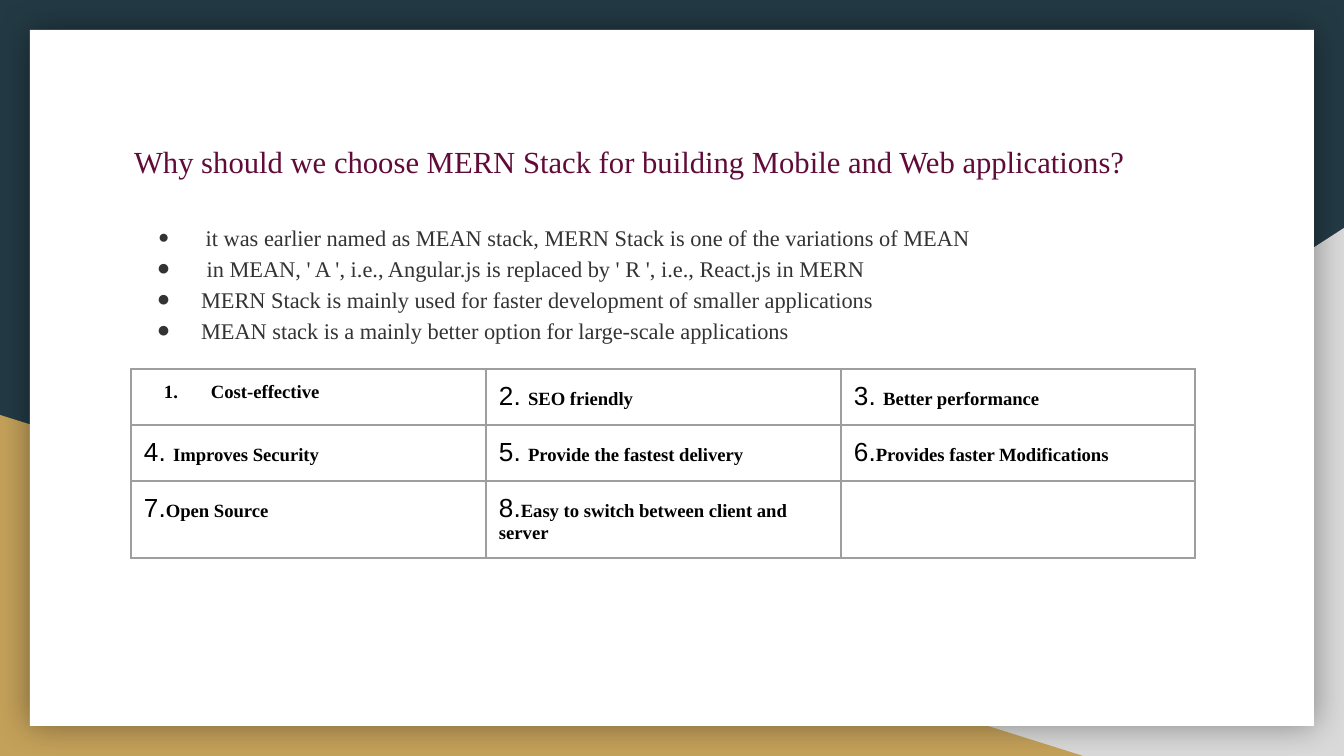
"""Build a slide on why the MERN stack is chosen, with bullets and a table of benefits."""
from dataclasses import dataclass
from typing import Any, NamedTuple

from lxml import etree
from pptx import Presentation
from pptx import util as u
from pptx.dml.color import RGBColor
from pptx.enum import shapes, text
from pptx.oxml.ns import qn

SCALE = 914400 * 10 / 1344


@dataclass(frozen=True)
class Theme:
    backdrop: str = "233A44"
    grey: str = "D9D9D9"
    gold: str = "C4A15A"
    paper: str = "FFFFFF"
    title: str = "610B38"
    body: str = "333333"
    ink: str = "000000"
    border: str = "9E9E9E"
    serif: str = "Times New Roman"
    sans: str = "Arial"
    title_size: float = 16.4
    body_size: float = 12
    number_size: float = 14
    small_size: float = 10


class Box(NamedTuple):
    x: int
    y: int
    w: int
    h: int


class Panel(NamedTuple):
    kind: Any
    box: Box
    color: str
    flipped: bool = False


class Run(NamedTuple):
    words: str
    size: float
    color: str
    font: str
    bold: bool = False


class Bullet(NamedTuple):
    hanging: int
    runs: list[Run]


T = Theme()
INSET = 13
PANELS = [
    Panel(shapes.MSO_SHAPE.RIGHT_TRIANGLE, Box(527, 228, 817, 528), T.grey, True),
    Panel(shapes.MSO_SHAPE.RIGHT_TRIANGLE, Box(0, 415, 1083, 341), T.gold),
    Panel(shapes.MSO_SHAPE.RECTANGLE, Box(30, 30, 1284, 696), T.paper),
]
TITLE = "Why should we choose MERN Stack for building Mobile and Web applications?"


def body_run(words: str, size: float = T.body_size) -> Run:
    return Run(words, size, T.body, T.serif)


BULLETS = [
    Bullet(43, [body_run(" ", T.small_size),
                body_run("it was earlier named as MEAN stack, MERN Stack is one of the variations of MEAN")]),
    Bullet(44, [body_run(" in MEAN, ' A ', i.e., Angular.js is replaced by ' R ', i.e., React.js in MERN")]),
    Bullet(44, [body_run("MERN Stack is mainly used for faster development of smaller applications")]),
    Bullet(44, [body_run("MEAN stack is a mainly better option for large-scale applications")]),
]
BENEFITS = [
    [("", "Cost-effective"), ("2. ", "SEO friendly"), ("3. ", "Better performance")],
    [("4. ", "Improves Security"), ("5. ", "Provide the fastest delivery"), ("6.", "Provides faster Modifications")],
    [("7.", "Open Source"), ("8.", "Easy to switch between client and server")],
]
TABLE = Box(131, 369, 1064, 189)
COL_WIDTHS = [355, 355, 354]
ROW_HEIGHTS = [56, 56, 77]


def px(n: int) -> u.Emu:
    return u.Emu(round(n * SCALE))


def emu(box: Box) -> list[u.Emu]:
    return [px(n) for n in box]


def rgb(color: str) -> RGBColor:
    return RGBColor.from_string(color)


def add(parent: Any, tag: str, **attrs: Any) -> Any:
    return etree.SubElement(parent, qn(tag), {k: str(v) for k, v in attrs.items()})


def add_run(p: Any, run: Run) -> None:
    r = p.add_run()
    r.text = run.words
    r.font.size = u.Pt(run.size)
    r.font.name = run.font
    r.font.bold = run.bold
    r.font.color.rgb = rgb(run.color)


def set_bullet(p: Any, hanging: int, color: str, tag: str, **attrs: str) -> None:
    pPr = p._p.get_or_add_pPr()
    pPr.set("marL", str(px(67)))
    pPr.set("indent", str(-px(hanging)))
    add(add(pPr, "a:buClr"), "a:srgbClr", val=color)
    add(pPr, "a:buFont", typeface=T.serif)
    add(pPr, tag, **attrs)


def add_panel(s: Any, panel: Panel) -> Any:
    sp = s.shapes.add_shape(panel.kind, *emu(panel.box))
    sp.shadow.inherit = False
    sp.fill.solid()
    sp.fill.fore_color.rgb = rgb(panel.color)
    sp.line.fill.background()
    if panel.flipped:
        sp._element.spPr.find(qn("a:xfrm")).set("flipH", "1")
    return sp


def add_glow(sp: Any) -> None:
    effects = sp._element.spPr.find(qn("a:effectLst"))
    shadow = add(effects, "a:outerShdw", blurRad=u.Pt(18), dist=0, algn="ctr", rotWithShape=0)
    add(add(shadow, "a:srgbClr", val=T.ink), "a:alpha", val=40000)


def prepare(sp: Any, box: Box) -> Any:
    sp.left, sp.top, sp.width, sp.height = emu(box)
    tf = sp.text_frame
    tf.word_wrap = True
    tf.auto_size = text.MSO_AUTO_SIZE.NONE
    tf.vertical_anchor = text.MSO_ANCHOR.TOP
    tf.margin_left = tf.margin_right = tf.margin_top = tf.margin_bottom = px(INSET)
    return tf


def fill_title(sp: Any) -> None:
    p = prepare(sp, Box(121, 124, 1103, 82)).paragraphs[0]
    p.alignment = text.PP_ALIGN.JUSTIFY
    p.line_spacing = 1.15
    add_run(p, Run(TITLE, T.title_size, T.title, T.serif))


def fill_body(sp: Any) -> None:
    tf = prepare(sp, Box(121, 207, 1103, 446))
    for i, bullet in enumerate(BULLETS):
        p = tf.add_paragraph() if i else tf.paragraphs[0]
        set_bullet(p, bullet.hanging, T.body, "a:buChar", char="●")
        p.line_spacing = 1.15
        p.space_before = u.Pt(0)
        for run in bullet.runs:
            add_run(p, run)


def style_cell(cell: Any) -> None:
    cell.margin_left = cell.margin_right = cell.margin_top = cell.margin_bottom = px(INSET)
    tcPr = cell._tc.get_or_add_tcPr()
    for side in ("a:lnL", "a:lnR", "a:lnT", "a:lnB"):
        ln = add(tcPr, side, w=u.Pt(0.75))
        add(add(ln, "a:solidFill"), "a:srgbClr", val=T.border)
    cell.fill.background()


def add_benefits(s: Any) -> None:
    table = s.shapes.add_table(len(ROW_HEIGHTS), len(COL_WIDTHS), *emu(TABLE)).table
    table.first_row = table.horz_banding = False
    for col, width in zip(table.columns, COL_WIDTHS):
        col.width = px(width)
    for row, height in zip(table.rows, ROW_HEIGHTS):
        row.height = px(height)
    for cell in table.iter_cells():
        style_cell(cell)
    for i, benefits in enumerate(BENEFITS):
        for j, (number, benefit) in enumerate(benefits):
            p = table.cell(i, j).text_frame.paragraphs[0]
            if number:
                add_run(p, Run(number, T.number_size, T.ink, T.sans))
            else:
                set_bullet(p, 47, T.ink, "a:buAutoNum", type="arabicPeriod")
            add_run(p, Run(benefit, T.small_size, T.ink, T.serif, True))


def main() -> None:
    prs = Presentation()
    prs.slide_width, prs.slide_height = px(1344), px(756)
    s = prs.slides.add_slide(prs.slide_layouts[1])
    s.background.fill.solid()
    s.background.fill.fore_color.rgb = rgb(T.backdrop)
    title, body = s.placeholders
    panels = [add_panel(s, panel) for panel in PANELS]
    add_glow(panels[-1])
    for sp in (title, body):
        s.shapes._spTree.append(sp._element)
    fill_title(title)
    fill_body(body)
    add_benefits(s)
    prs.save("out.pptx")


if __name__ == "__main__":
    main()
